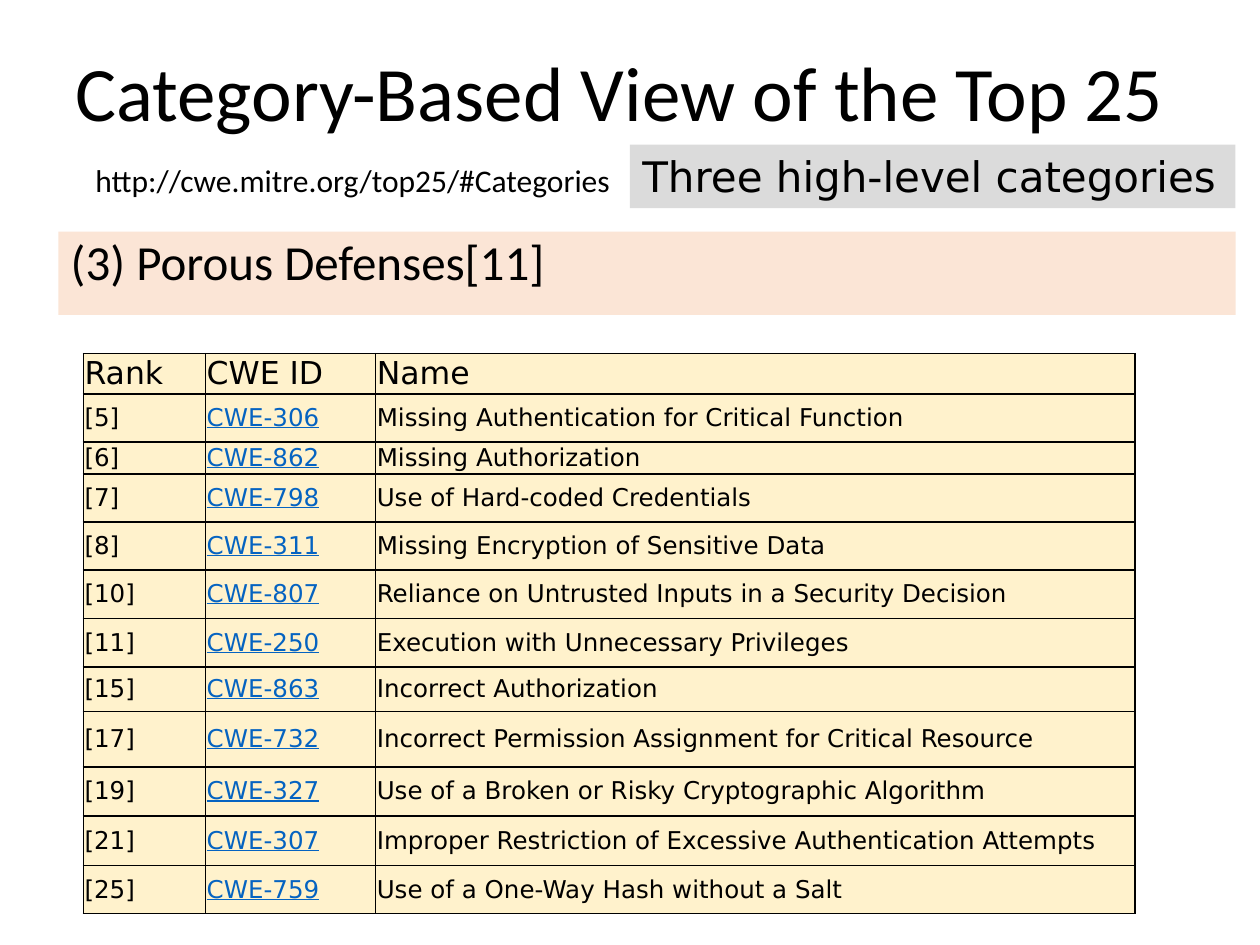
import pptx
import pptx.util
import pptx.dml.color
import pptx.enum.shapes
import pptx.enum.text
import pptx.oxml
import pptx.oxml.ns

Pt = pptx.util.Pt
RGB = pptx.dml.color.RGBColor
ANCHOR = pptx.enum.text.MSO_ANCHOR
FIT = pptx.enum.text.MSO_AUTO_SIZE

BLACK = RGB(0x00, 0x00, 0x00)
BLUE = RGB(0x05, 0x63, 0xC1)
PEACH = RGB(0xFB, 0xE5, 0xD6)
GREY = RGB(0xDB, 0xDB, 0xDB)
CREAM = RGB(0xFF, 0xF2, 0xCC)
SERIES, PLAIN = "Calibri", "DejaVu Sans"

# text, (left, top, width, height), fill, font, paragraph and frame formats
BOXES = [
    ("Category-Based View of the Top 25", (36, 21.6, 648, 67), None,
     {"name": SERIES, "size": Pt(44)}, {"line_spacing": 0.9},
     {"word_wrap": True, "vertical_anchor": ANCHOR.MIDDLE}),
    ("(3) Porous Defenses[11]", (33.3, 132.3, 672.8, 47.6), PEACH,
     {"name": SERIES, "size": Pt(28)}, {"line_spacing": 0.9},
     {"word_wrap": True, "vertical_anchor": ANCHOR.TOP}),
    ("http://cwe.mitre.org/top25/#Categories", (47.5, 88.6, 312.5, 29), None,
     {"name": SERIES, "size": Pt(18)}, {},
     {"word_wrap": False, "auto_size": FIT.SHAPE_TO_FIT_TEXT}),
    ("Three high-level categories", (360, 82.6, 346, 36.3), GREY,
     {"name": PLAIN, "size": Pt(24)}, {},
     {"word_wrap": False, "vertical_anchor": ANCHOR.TOP,
      "auto_size": FIT.SHAPE_TO_FIT_TEXT}),
]

HEAD = ("Rank", "CWE ID", "Name")
# rank, CWE number, name, row height
FLAWS = [
    (5, 306, "Missing Authentication for Critical Function", 27.4),
    (6, 862, "Missing Authorization", 14.4),
    (7, 798, "Use of Hard-coded Credentials", 27.4),
    (8, 311, "Missing Encryption of Sensitive Data", 27.6),
    (10, 807, "Reliance on Untrusted Inputs in a Security Decision", 27.7),
    (11, 250, "Execution with Unnecessary Privileges", 27.8),
    (15, 863, "Incorrect Authorization", 25.3),
    (17, 732, "Incorrect Permission Assignment for Critical Resource", 31.7),
    (19, 327, "Use of a Broken or Risky Cryptographic Algorithm", 28.1),
    (21, 307, "Improper Restriction of Excessive Authentication Attempts", 28.4),
    (25, 759, "Use of a One-Way Hash without a Salt", 27.4),
]
HEAD_HIGH = 14.4
WIDTHS = (69.8, 97.2, 434)
LEFT, TOP = 47.6, 202
INSET = Pt(0.75)


def apply(item, formats):
    for key, value in formats.items():
        setattr(item, key, value)


def paint(item, color):
    item.fill.solid()
    item.fill.fore_color.rgb = color


def write(para, text, font, color=BLACK):
    run = para.add_run()
    run.text = text
    apply(run.font, font)
    run.font.color.rgb = color


def add_box(slide, text, place, fill, font, para, frame):
    place = [Pt(v) for v in place]
    if fill is None:
        box = slide.shapes.add_textbox(*place)
    else:
        kind = pptx.enum.shapes.MSO_SHAPE.RECTANGLE
        box = slide.shapes.add_shape(kind, *place)
        box.shadow.inherit = False
        box.line.fill.background()
        paint(box, fill)
    apply(box.text_frame, frame)
    first = box.text_frame.paragraphs[0]
    first.alignment = pptx.enum.text.PP_ALIGN.LEFT
    apply(first, para)
    write(first, text, font)


def add_edges(cell):
    """Draw a 1 pt line on all four sides; call before the fill is set."""
    props = cell._tc.get_or_add_tcPr()
    for side in "LRTB":
        props.append(pptx.oxml.parse_xml(
            f'<a:ln{side} {pptx.oxml.ns.nsdecls("a")} w="{Pt(1)}">'
            f'<a:solidFill><a:srgbClr val="{BLACK}"/></a:solidFill></a:ln{side}>'))


def add_table(slide):
    rows = [HEAD] + [(f"[{rank}]", f"CWE-{num}", name)
                     for rank, num, name, _ in FLAWS]
    highs = [HEAD_HIGH] + [flaw[-1] for flaw in FLAWS]
    table = slide.shapes.add_table(
        len(rows), len(HEAD), Pt(LEFT), Pt(TOP),
        Pt(sum(WIDTHS)), Pt(sum(highs))).table
    apply(table, {"first_row": False, "horz_banding": False})
    for col, width in zip(table.columns, WIDTHS):
        col.width = Pt(width)
    for r, (texts, high) in enumerate(zip(rows, highs)):
        table.rows[r].height = Pt(high)
        for c, text in enumerate(texts):
            cell = table.cell(r, c)
            apply(cell, {"vertical_anchor": ANCHOR.MIDDLE,
                         "margin_left": INSET, "margin_right": INSET,
                         "margin_top": INSET, "margin_bottom": INSET})
            add_edges(cell)
            paint(cell, CREAM)
            link = r > 0 and c == 1
            font = {"name": PLAIN, "size": Pt(14 if r else 18),
                    "underline": link}
            write(cell.text_frame.paragraphs[0], text, font,
                  BLUE if link else BLACK)


def main():
    deck = pptx.Presentation()
    apply(deck, {"slide_width": Pt(720), "slide_height": Pt(540)})
    slide = deck.slides.add_slide(deck.slide_layouts[6])
    for box in BOXES:
        add_box(slide, *box)
    add_table(slide)
    deck.save("out.pptx")


if __name__ == "__main__":
    main()
